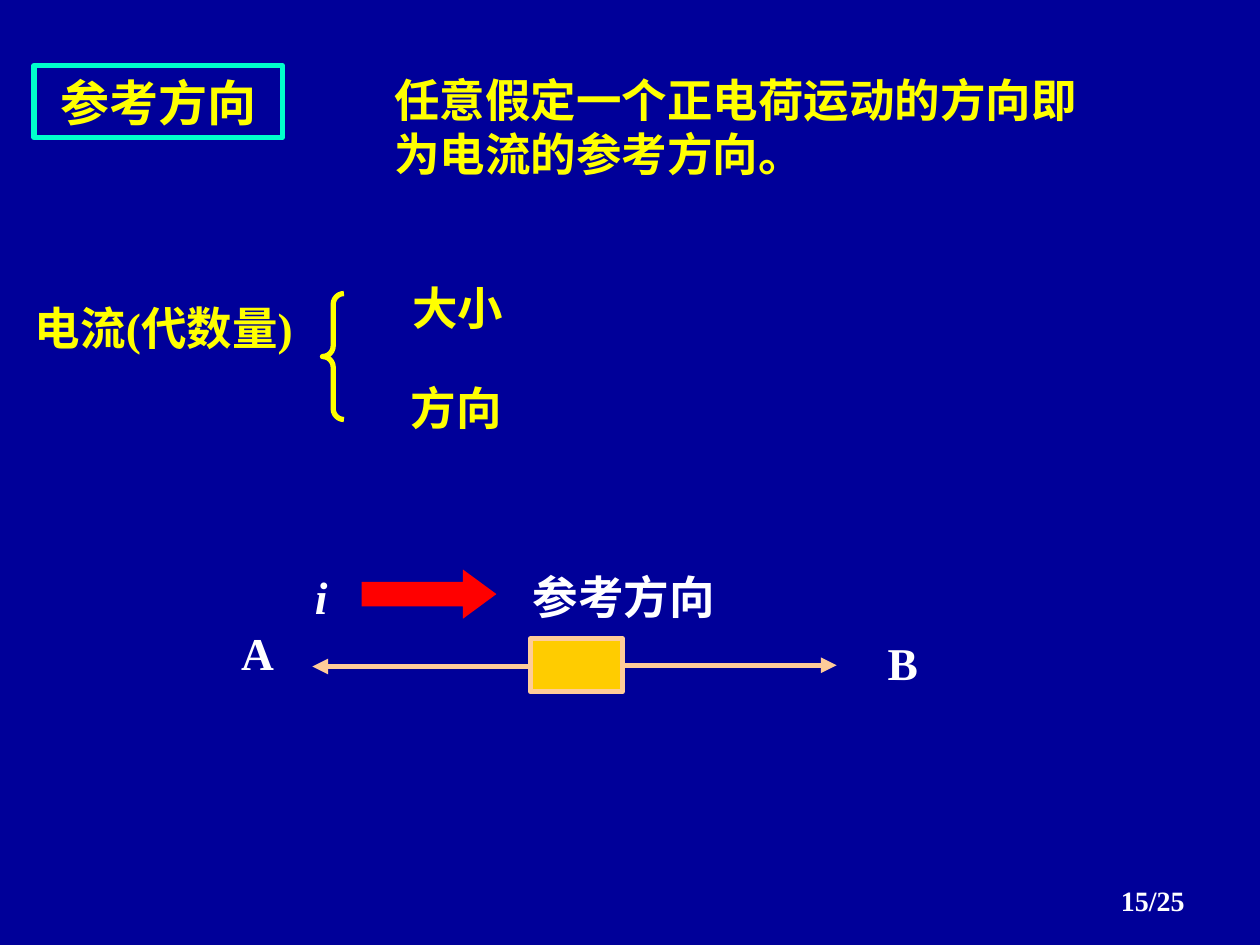
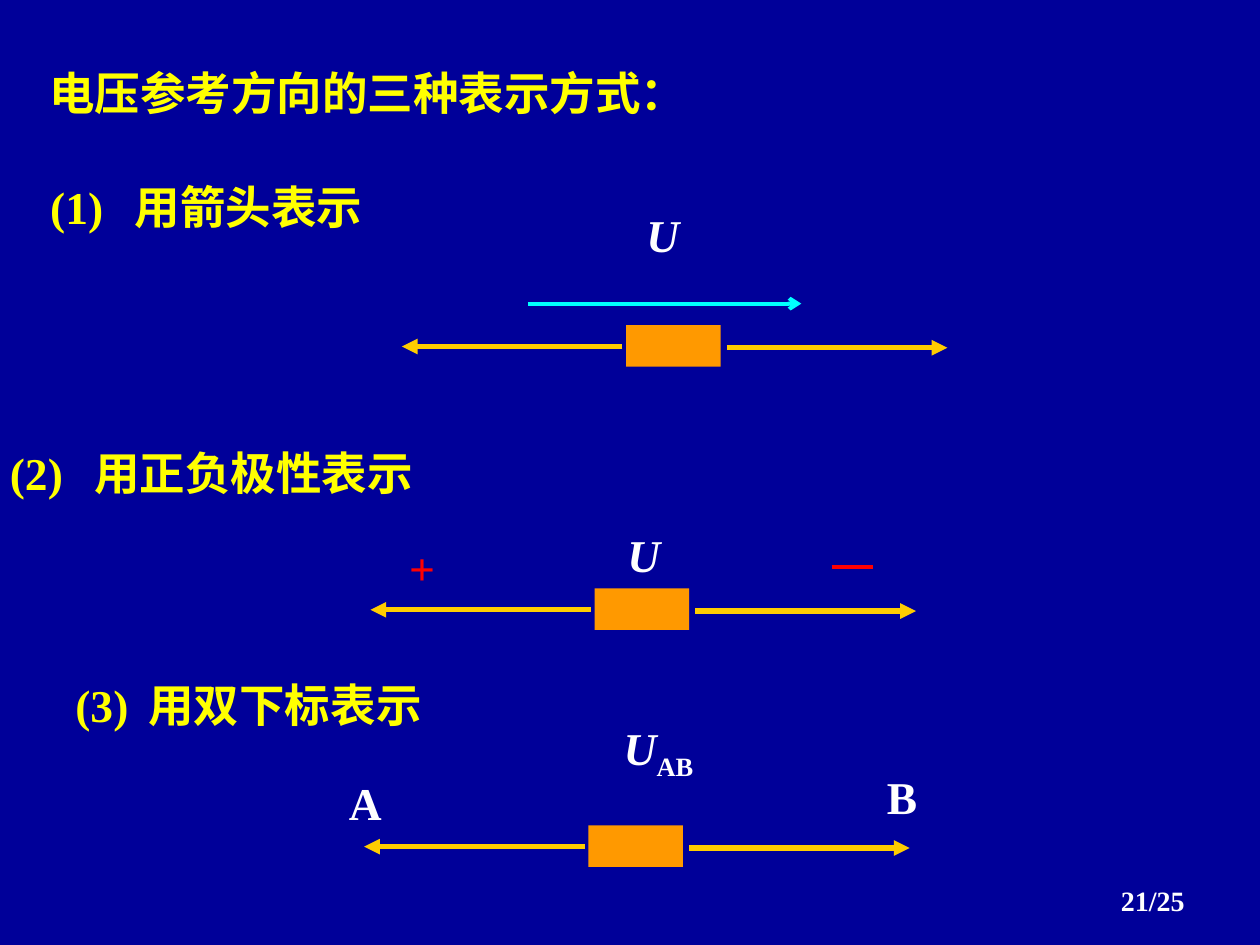
from dataclasses import dataclass
from typing import Optional

from pptx import Presentation
from pptx.dml.color import RGBColor
from pptx.enum.shapes import MSO_CONNECTOR, MSO_SHAPE
from pptx.enum.text import MSO_ANCHOR, MSO_AUTO_SIZE, PP_ALIGN
from pptx.oxml.ns import qn
from pptx.util import Inches, Pt
from lxml.etree import SubElement

# Shared look
NAVY = RGBColor(0x00, 0x00, 0x99)
YELLOW = RGBColor(0xFF, 0xFF, 0x00)
WHITE = RGBColor(0xFF, 0xFF, 0xFF)
RED = RGBColor(0xFF, 0x00, 0x00)
AQUA = RGBColor(0x00, 0xFF, 0xCC)
CYAN = RGBColor(0x00, 0xFF, 0xFF)
GOLD = RGBColor(0xFF, 0xCC, 0x00)
ORANGE = RGBColor(0xFF, 0x99, 0x00)
PEACH = RGBColor(0xFF, 0xCC, 0x99)
FONT = "Times New Roman"
TITLE_ONLY = 5
PAGE_COUNT = 25


@dataclass
class Label:
    text: str
    left: float
    top: float
    width: float
    height: float = 0.54
    color: RGBColor = YELLOW
    size: int = 26
    align: PP_ALIGN = PP_ALIGN.CENTER
    anchor: MSO_ANCHOR = MSO_ANCHOR.MIDDLE
    italic: bool = False
    hanging: float = 0
    subscript: str = ""


@dataclass
class Lead:
    """A wire, measured from the top left corner of its resistor."""
    start: float
    end: float
    drop: float


@dataclass
class ResistorStyle:
    width: float
    height: float
    fill: RGBColor
    wire: RGBColor
    leads: tuple[Lead, Lead]
    outline: Optional[RGBColor] = None


CURRENT_RESISTOR = ResistorStyle(
    0.73, 0.42, GOLD, PEACH,
    (Lead(-0.02, -1.73, 0.22), Lead(0.74, 2.43, 0.21)), outline=PEACH)
VOLTAGE_RESISTOR = ResistorStyle(
    0.75, 0.33, ORANGE, GOLD,
    (Lead(-0.03, -1.78, 0.17), Lead(0.8, 2.55, 0.18)))


def write_label(shape, label: Label) -> None:
    """Place a text box or placeholder and format its text."""
    shape.left, shape.top = Inches(label.left), Inches(label.top)
    shape.width, shape.height = Inches(label.width), Inches(label.height)
    frame = shape.text_frame
    frame.text = label.text
    frame.auto_size = MSO_AUTO_SIZE.NONE
    frame.word_wrap = label.align != PP_ALIGN.CENTER
    frame.vertical_anchor = label.anchor
    paragraph = frame.paragraphs[0]
    paragraph.alignment = label.align
    if label.hanging:
        properties = paragraph._p.get_or_add_pPr()
        properties.set("marL", str(Inches(label.hanging)))
        properties.set("indent", str(-Inches(label.hanging)))
    if label.subscript:
        paragraph.add_run().text = label.subscript
    for position, run in enumerate(paragraph.runs):
        run.font.name = FONT
        run.font.size = Pt(label.size)
        run.font.bold = True
        run.font.italic = label.italic and position == 0
        run.font.color.rgb = label.color
        if position > 0:
            run._r.get_or_add_rPr().set("baseline", "-25000")


def add_label(slide, label: Label) -> None:
    write_label(slide.shapes.add_textbox(0, 0, 0, 0), label)


def add_line(shapes, start: tuple[float, float], end: tuple[float, float],
             color: RGBColor, weight: float, head: str = "") -> None:
    line = shapes.add_connector(
        MSO_CONNECTOR.STRAIGHT, Inches(start[0]), Inches(start[1]),
        Inches(end[0]), Inches(end[1]))
    line.line.color.rgb = color
    line.line.width = Pt(weight)
    if head:
        SubElement(line.line._get_or_add_ln(), qn("a:tailEnd")).set("type", head)
    SubElement(line._element.spPr, qn("a:effectLst"))


def add_figure(shapes, kind: MSO_SHAPE, left: float, top: float, width: float,
               height: float, fill: Optional[RGBColor] = None,
               outline: Optional[RGBColor] = None):
    figure = shapes.add_shape(kind, Inches(left), Inches(top),
                              Inches(width), Inches(height))
    figure.shadow.inherit = False
    if fill is None:
        figure.fill.background()
    else:
        figure.fill.solid()
        figure.fill.fore_color.rgb = fill
    if outline is None:
        figure.line.fill.background()
    else:
        figure.line.color.rgb = outline
        figure.line.width = Pt(3)
    return figure


def add_resistor(slide, left: float, top: float, style: ResistorStyle) -> None:
    """Draw a resistor with an arrow-ended wire on each side."""
    parts = slide.shapes.add_group_shape().shapes
    add_figure(parts, MSO_SHAPE.RECTANGLE, left, top, style.width,
               style.height, style.fill, style.outline)
    for lead in style.leads:
        y = top + lead.drop
        add_line(parts, (left + lead.start, y), (left + lead.end, y),
                 style.wire, 3, "triangle")


def add_page(deck, number: int, title: Label):
    """Add a slide with its title and page number."""
    slide = deck.slides.add_slide(deck.slide_layouts[TITLE_ONLY])
    write_label(slide.shapes.title, title)
    add_label(slide, Label(f"{number}/{PAGE_COUNT}", 7.17, 6.83, 2.33, 0.5,
                           WHITE, 16, PP_ALIGN.RIGHT, MSO_ANCHOR.BOTTOM))
    return slide


def build_current_slide(deck) -> None:
    slide = add_page(deck, 15, Label("参考方向", 0.27, 0.52, 1.97, 0.57, size=28))
    title_box = slide.shapes.title
    title_box.line.color.rgb = AQUA
    title_box.line.width = Pt(3)

    # Definition, and the two aspects of a current
    for label in (
        Label("任意假定一个正电荷运动的方向即为电流的参考方向。", 3.03, 0.52, 5.91,
              0.97, align=PP_ALIGN.LEFT, anchor=MSO_ANCHOR.TOP),
        Label("电流(代数量)", 0.04, 2.33, 2.52),
        Label("大小", 2.87, 2.17, 1.53),
        Label("方向", 3.11, 2.96, 1.02),
    ):
        add_label(slide, label)
    brace = add_figure(slide.shapes, MSO_SHAPE.LEFT_BRACE, 2.56, 2.33, 0.17, 1,
                       outline=YELLOW)
    brace.adjustments[0] = 0.5

    # Circuit with its reference direction
    direction = add_figure(slide.shapes, MSO_SHAPE.RIGHT_ARROW, 2.87, 4.52,
                           1.07, 0.39, RED)
    direction.adjustments[1] = 0.68
    add_resistor(slide, 4.21, 5.07, CURRENT_RESISTOR)
    for label in (
        Label("i", 2.35, 4.46, 0.4, color=WHITE, italic=True),
        Label("参考方向", 4.1, 4.46, 1.7, color=WHITE),
        Label("A", 1.69, 4.91, 0.71, color=WHITE, anchor=MSO_ANCHOR.TOP),
        Label("B", 6.81, 4.99, 0.71, color=WHITE, anchor=MSO_ANCHOR.TOP),
    ):
        add_label(slide, label)


def build_voltage_slide(deck) -> None:
    slide = add_page(deck, 21, Label("电压参考方向的三种表示方式：", 0.29, 0.46,
                                     5.5, align=PP_ALIGN.LEFT))

    # The three notations
    for text, left, top, hanging in (
        ("(1)\t用箭头表示", 0.3, 1.37, 0.67),
        ("(2)\t用正负极性表示", -0.02, 3.48, 0.67),
        ("(3)\t用双下标表示", 0.5, 5.32, 0.58),
    ):
        add_label(slide, Label(text, left, top, 4.3, align=PP_ALIGN.LEFT,
                               hanging=hanging))

    # One circuit for each notation
    for left, top in ((4.97, 2.58), (4.72, 4.67), (4.67, 6.55)):
        add_resistor(slide, left, top, VOLTAGE_RESISTOR)
    for label in (
        Label("U", 5.03, 1.59, 0.46, color=WHITE, italic=True),
        Label("U", 4.88, 4.13, 0.46, color=WHITE, italic=True),
        Label("U", 4.85, 5.66, 0.75, 0.6, WHITE, italic=True, subscript="AB"),
        Label("+", 3.15, 4.23, 0.4, color=RED),
        Label("A", 2.67, 6.1, 0.46, color=WHITE),
        Label("B", 6.94, 6.05, 0.44, color=WHITE),
    ):
        add_label(slide, label)

    # Voltage arrow and minus sign
    add_line(slide.shapes, (4.19, 2.41), (6.36, 2.41), CYAN, 2.25, "arrow")
    add_line(slide.shapes, (6.6, 4.5), (6.93, 4.5), RED, 2.25)


def main() -> None:
    deck = Presentation()
    deck.slide_width, deck.slide_height = Inches(10), Inches(7.5)
    backdrop = deck.slide_master.background.fill
    backdrop.solid()
    backdrop.fore_color.rgb = NAVY
    build_current_slide(deck)
    build_voltage_slide(deck)
    deck.save("out.pptx")


if __name__ == "__main__":
    main()
